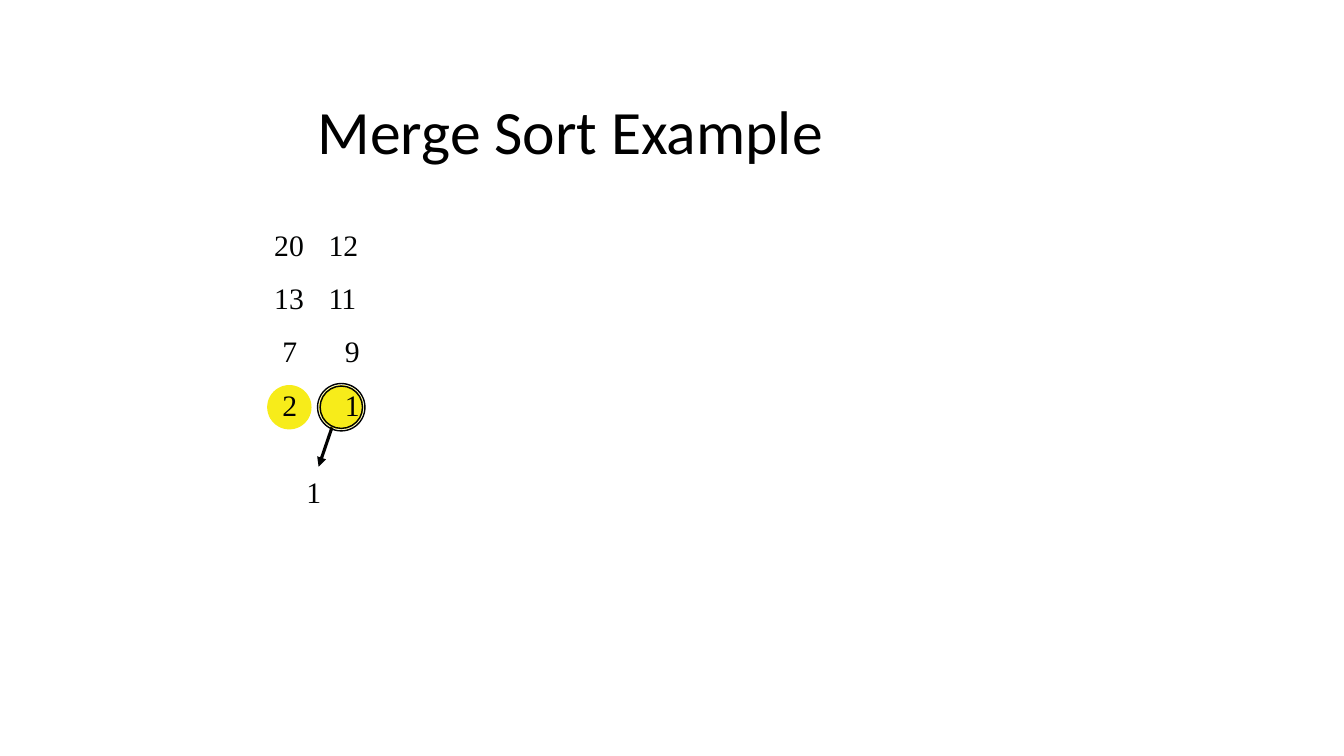
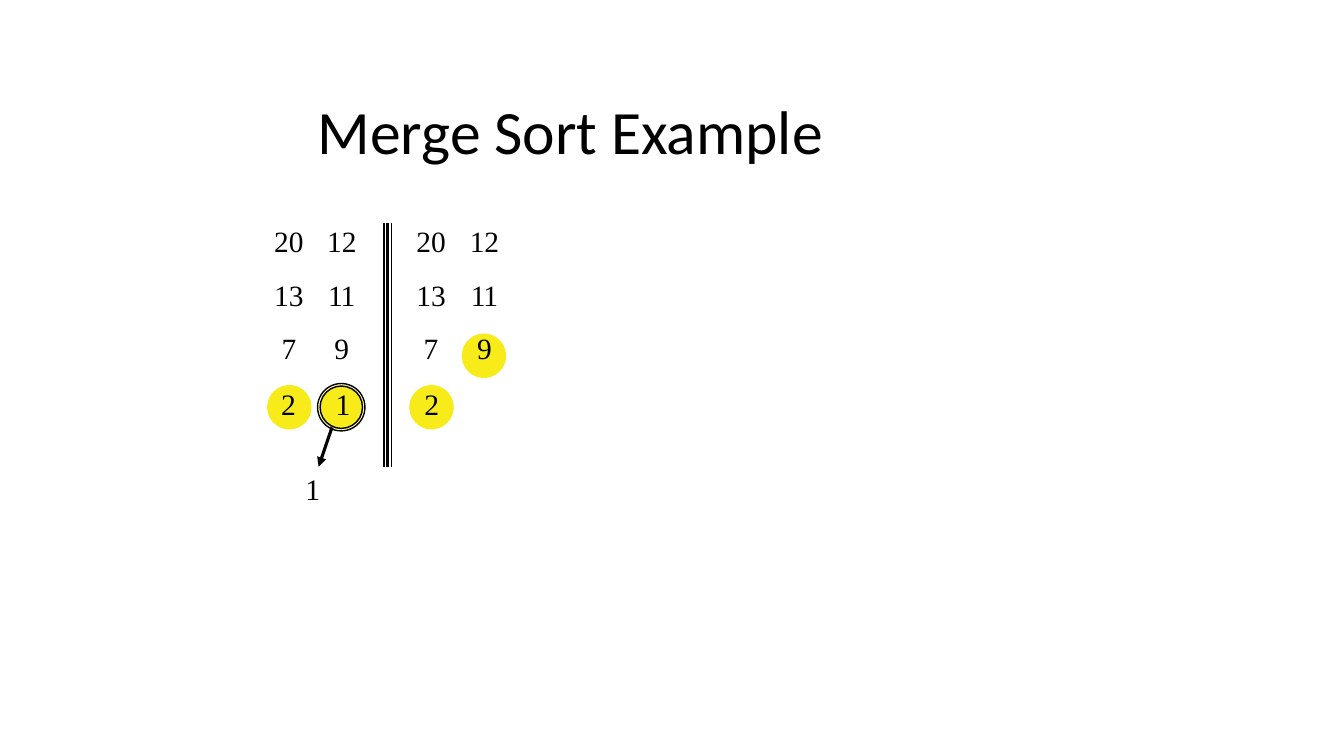
"""Build two slides that step through merging two sorted lists."""
import dataclasses

import lxml.etree
import pptx
import pptx.dml.color
import pptx.enum.shapes
import pptx.enum.text
import pptx.oxml.ns
import pptx.util

Inches, Pt = pptx.util.Inches, pptx.util.Pt
qn = pptx.oxml.ns.qn


@dataclasses.dataclass(frozen=True)
class Theme:
    title_font: str = "Calibri"
    number_font: str = "Times New Roman"
    title_color: str = "000000"
    ink: str = "010202"
    highlight: str = "F7EC1A"
    title_size: float = 44
    number_size: float = 21.2
    cell_size: float = 21
    number_line: float = 25.5


THEME = Theme()
TITLE = "Merge Sort Example"
ROWS = [("20", "12"), ("13", "11"), ("7", "9")]
TIGHT = {"11": -80}
GRID_STYLE = "{2D5ABB26-0587-4C30-8999-92F81FD0307C}"

LISTS_BOX = (2.71, 2.06, 1, 3.03)
LISTS = [
    (("20", "\t12"), 0.01, 0.54, 0),
    (("13\t", "11"), 0.01, 0.54, 12.5),
    (("7", "\t9"), 0.09, 0.62, 12.5),
    (("2", "\t1"), 0.09, 0.62, 12.5),
    (("1",), 0.33, None, 36.6),
]
LABELS = [
    (("2", "\t1"), (2.78, 3.82, 0.7, 0.37)),
    (("1",), (3.02, 4.66, 0.17, 0.37)),
    (("2",), (4.2, 3.82, 0.17, 0.37)),
]
TABLES = [
    {"at": (2.6, 2.21), "cols": (0.53, 0.71), "rows": (0.5, 0.53, 0.46),
     "tops": (0.04, 0.07, 0.07), "rights": (0, 0.19)},
    {"at": (4.01, 2.25), "cols": (0.53, 0.53), "rows": (0.46, 0.53, 0.46),
     "tops": (0, 0.07, 0.07), "rights": (0, 0)},
]
FIRST_PAIR = (2.87, 3.385)
HEAD_Y = 4.04
DISC = 0.44
RINGS = (0.47, 0.42)
SECOND_PAIR = [(4.8, 3.53), (4.28, HEAD_Y)]
ARROW = (3.31, 4.19, 3.16, 4.63)
DIVIDER = [(3.81, 1), (3.84, 2), (3.88, 1)]
DIVIDER_Y = (2.21, 4.63)


def rgb(value):
    return pptx.dml.color.RGBColor.from_string(value)


def add_run(p, text, font, size, color):
    r = p.add_run()
    r.text = text
    r.font.name, r.font.size = font, Pt(size)
    r.font.color.rgb = rgb(color)
    if text in TIGHT:
        r.font._element.set("spc", str(TIGHT[text]))


def add_box(s, at, top_inset):
    tf = s.shapes.add_textbox(*map(Inches, at)).text_frame
    tf.word_wrap = True
    tf.margin_left = tf.margin_right = tf.margin_bottom = 0
    tf.margin_top = Inches(top_inset)
    return tf


def add_numbers(p, runs, indent=0.01, tab=0.54, before=0):
    p.line_spacing, p.space_before = Pt(THEME.number_line), Pt(before)
    pPr = p._p.get_or_add_pPr()
    pPr.set("marL", str(Inches(indent)))
    if tab:
        tabs = lxml.etree.SubElement(pPr, qn("a:tabLst"))
        lxml.etree.SubElement(tabs, qn("a:tab"), pos=str(Inches(tab)), algn="l")
    for text in runs:
        add_run(p, text, THEME.number_font, THEME.number_size, THEME.ink)


def add_circle(s, x, y, size, fill=None):
    at = (x - size / 2, y - size / 2, size, size)
    sp = s.shapes.add_shape(pptx.enum.shapes.MSO_SHAPE.OVAL, *map(Inches, at))
    sp.shadow.inherit = False
    if fill:
        sp.fill.solid()
        sp.fill.fore_color.rgb = rgb(fill)
        sp.line.fill.background()
    else:
        sp.fill.background()
        sp.line.color.rgb = rgb(THEME.ink)
        sp.line.width = Pt(1)


def add_line(s, ends, width, arrow=False):
    straight = pptx.enum.shapes.MSO_CONNECTOR.STRAIGHT
    line = s.shapes.add_connector(straight, *map(Inches, ends))
    line.line.color.rgb = rgb(THEME.ink)
    line.line.width = Pt(width)
    if arrow:
        lxml.etree.SubElement(line.line._get_or_add_ln(), qn("a:tailEnd"), type="triangle")
    lxml.etree.SubElement(line._element.spPr, qn("a:effectLst"))


def add_rows(s, at, cols, rows, tops, rights):
    size = (sum(cols), sum(rows))
    table = s.shapes.add_table(len(rows), len(cols), *map(Inches, at + size)).table
    table.first_row = table.horz_banding = False
    table._tbl.tblPr.find(qn("a:tableStyleId")).text = GRID_STYLE
    for column, width in zip(table.columns, cols):
        column.width = Inches(width)
    for i, values in enumerate(ROWS):
        table.rows[i].height = Inches(rows[i])
        for j, value in enumerate(values):
            cell = table.cell(i, j)
            cell.fill.background()
            cell.margin_left = cell.margin_bottom = 0
            cell.margin_top, cell.margin_right = Inches(tops[i]), Inches(rights[j])
            p = cell.text_frame.paragraphs[0]
            p.alignment = pptx.enum.text.PP_ALIGN.CENTER
            add_run(p, value, THEME.number_font, THEME.cell_size, THEME.ink)


def add_base(prs):
    s = prs.slides.add_slide(prs.slide_layouts[6])
    tf = add_box(s, (3.14, 0.91, 6.18, 0.75), 0.01)
    tf.vertical_anchor = pptx.enum.text.MSO_ANCHOR.MIDDLE
    p = tf.paragraphs[0]
    p._p.get_or_add_pPr().set("marL", str(Inches(0.01)))
    add_run(p, TITLE, THEME.title_font, THEME.title_size, THEME.title_color)
    add_line(s, ARROW, 2.25, arrow=True)
    for x in FIRST_PAIR:
        add_circle(s, x, HEAD_Y, DISC, THEME.highlight)
    for size in RINGS:
        add_circle(s, FIRST_PAIR[1], HEAD_Y, size)
    return s


def build_first(prs):
    s = add_base(prs)
    tf = add_box(s, LISTS_BOX, 0.19)
    for i, row in enumerate(LISTS):
        add_numbers(tf.add_paragraph() if i else tf.paragraphs[0], *row)


def build_second(prs):
    s = add_base(prs)
    for x, width in DIVIDER:
        add_line(s, (x, DIVIDER_Y[0], x, DIVIDER_Y[1]), width)
    for x, y in SECOND_PAIR:
        add_circle(s, x, y, DISC, THEME.highlight)
    for table in TABLES:
        add_rows(s, **table)
    for runs, at in LABELS:
        add_numbers(add_box(s, at, 0.01).paragraphs[0], runs)


prs = pptx.Presentation()
prs.slide_width, prs.slide_height = Inches(13.33), Inches(7.5)
build_first(prs)
build_second(prs)
prs.save("out.pptx")
